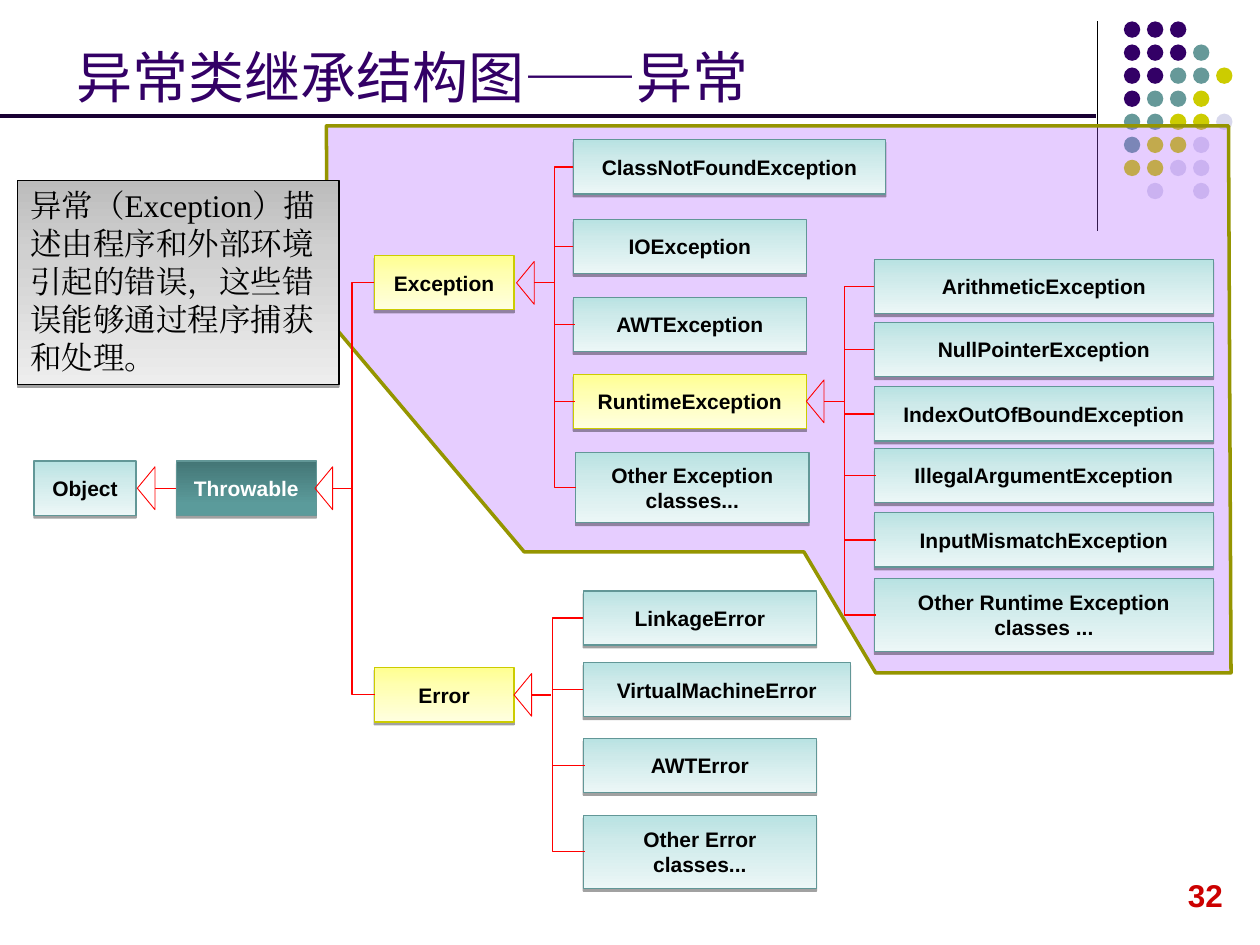
from dataclasses import dataclass
from typing import Any, NamedTuple

from pptx import Presentation
from pptx.dml.color import RGBColor
from pptx.enum.shapes import MSO_CONNECTOR as Link, MSO_SHAPE as Kind
from pptx.enum.text import MSO_ANCHOR as Anchor, MSO_AUTO_SIZE as Fit, PP_ALIGN as Align
from pptx.oxml import parse_xml
from pptx.oxml.ns import nsdecls, qn
from pptx.oxml.xmlchemy import OxmlElement
from pptx.util import Inches, Pt


class Style(NamedTuple):
    stops: tuple[tuple[int, str], ...]
    line: str
    ink: str = "000000"


@dataclass(frozen=True)
class Theme:
    sans: str = "Arial"
    han: str = "Noto Sans CJK SC"
    serif: str = "Times New Roman"
    title: int = 32
    body: int = 18
    label: int = 12
    black: str = "000000"
    plum: str = "330066"
    rule: str = "190033"
    red: str = "FF0000"
    page: str = "CC0000"
    zone: str = "AD5CFF"
    olive: str = "959500"
    mint: Style = Style(((0, "B8E2E2"), (35, "CEEAEA"), (100, "ECF7F7")), "629797")
    teal: Style = Style(((0, "447676"), (80, "5B9B9B"), (100, "5A9D9D")), "629797", "FFFFFF")
    gold: Style = Style(((0, "FFFF90"), (35, "FFFFB2"), (100, "FFFFE0")), "CCCC00")
    gray: Style = Style(((0, "BCBCBC"), (35, "D0D0D0"), (100, "EDEDED")), "000000")


T = Theme()
DOTS = {"P": T.plum, "T": "669999", "Y": "CCCC00", "L": "D8D8EC"}
GRID = ("PPP", "PPPT", "PPTTY", "PTTY", "TTYYL", "TYYL", "YYLL", " L L")


@dataclass(frozen=True)
class Box:
    text: str
    left: float
    top: float
    wide: float = 1.85
    high: float = 0.43
    style: Style = T.mint

    @property
    def mid(self) -> float:
        return self.top + self.high / 2


class Arm(NamedTuple):
    box: str
    tip: float
    end: float


class Fork(NamedTuple):
    spine: float
    first: str
    last: str


BOXES = (
    Box("Object", 0.27, 3.66, 0.81),
    Box("Throwable", 1.4, 3.66, 1.11, style=T.teal),
    Box("Exception", 2.97, 2.03, 1.11, style=T.gold),
    Box("Error", 2.97, 5.3, 1.11, style=T.gold),
    Box("ClassNotFoundException", 4.55, 1.11, 2.48),
    Box("IOException", 4.55, 1.74),
    Box("AWTException", 4.55, 2.36),
    Box("RuntimeException", 4.55, 2.97, style=T.gold),
    Box("Other Exception classes...", 4.57, 3.59, high=0.56),
    Box("LinkageError", 4.63, 4.69),
    Box("VirtualMachineError", 4.63, 5.26, 2.12),
    Box("AWTError", 4.63, 5.86),
    Box("Other Error classes...", 4.63, 6.47, high=0.58),
    Box("ArithmeticException", 6.94, 2.06, 2.69),
    Box("NullPointerException", 6.94, 2.56, 2.69),
    Box("IndexOutOfBoundException", 6.94, 3.07, 2.69),
    Box("IllegalArgumentException", 6.94, 3.56, 2.69),
    Box("InputMismatchException", 6.94, 4.07, 2.69),
    Box("Other Runtime Exception classes ...", 6.94, 4.59, 2.69, 0.58),
)
ARMS = (
    Arm("Object", 1.09, 1.4),
    Arm("Throwable", 2.5, 2.8),
    Arm("Exception", 4.1, 4.4),
    Arm("Error", 4.08, 4.37),
    Arm("RuntimeException", 6.4, 6.7),
)
FORKS = (
    Fork(2.79, "Exception", "Error"),
    Fork(4.4, "ClassNotFoundException", "Other Exception classes..."),
    Fork(4.4, "IOException", "AWTException"),
    Fork(4.4, "AWTException", "RuntimeException"),
    Fork(4.38, "LinkageError", "Other Error classes..."),
    Fork(4.38, "VirtualMachineError", "AWTError"),
    Fork(6.7, "ArithmeticException", "Other Runtime Exception classes ..."),
    Fork(6.7, "NullPointerException", "IllegalArgumentException"),
    Fork(6.7, "IndexOutOfBoundException", "InputMismatchException"),
)
ZONE = ((2.59, 1), (9.75, 1), (9.77, 5.34), (6.95, 5.34), (6.38, 4.38), (4.16, 4.38), (2.6, 2.53))


def rgb(code: str) -> RGBColor:
    return RGBColor.from_string(code)


def pen(item: Any, color: str, width: float) -> None:
    item.line.color.rgb = rgb(color)
    item.line.width = Pt(width)


def write(shape: Any, text: str, size: int, font: str, color: str, bold: bool = False) -> None:
    frame = shape.text_frame
    frame.text = text
    frame.word_wrap = True
    run = frame.paragraphs[0].runs[0]
    run.font.size, run.font.name, run.font.bold = Pt(size), font, bold
    run.font.color.rgb = rgb(color)
    east = OxmlElement("a:ea")
    east.set("typeface", font)
    run.font._element.find(qn("a:latin")).addnext(east)


def link(shapes: Any, kind: Any, x1: float, y1: float, x2: float, y2: float,
         color: str = T.red, width: float = 0.75) -> Any:
    line = shapes.add_connector(kind, Inches(x1), Inches(y1), Inches(x2), Inches(y2))
    pen(line, color, width)
    line._element.spPr.append(OxmlElement("a:effectLst"))
    return line


def panel(shapes: Any, box: Box) -> Any:
    """Add a rectangle with a gradient and a hard shadow below it."""
    shape = shapes.add_shape(Kind.RECTANGLE, Inches(box.left), Inches(box.top),
                             Inches(box.wide), Inches(box.high))
    shape.fill.background()
    stops = "".join(f'<a:gs pos="{pos * 1000}"><a:srgbClr val="{color}"/></a:gs>'
                    for pos, color in box.style.stops)
    props = shape._element.spPr
    props.replace(props.find(qn("a:noFill")), parse_xml(
        f'<a:gradFill {nsdecls("a")} rotWithShape="1"><a:gsLst>{stops}</a:gsLst>'
        '<a:lin ang="5400000" scaled="0"/></a:gradFill>'))
    pen(shape, box.style.line, 0.75)
    shape.shadow.inherit = False
    props.find(qn("a:effectLst")).append(parse_xml(
        f'<a:outerShdw {nsdecls("a")} blurRad="0" dist="20000" dir="5400000" rotWithShape="0">'
        '<a:srgbClr val="000000"><a:alpha val="37000"/></a:srgbClr></a:outerShdw>'))
    return shape


def node(shapes: Any, box: Box) -> Any:
    shape = panel(shapes, box)
    write(shape, box.text, T.label, T.sans, box.style.ink, True)
    shape.text_frame.vertical_anchor = Anchor.MIDDLE
    shape.text_frame.paragraphs[0].alignment = Align.CENTER
    return shape


def arm(shapes: Any, item: Arm, mid: float) -> Any:
    """Add a hollow arrowhead that points left, and its stem."""
    wide, high = 0.34, 0.14
    head = shapes.add_shape(Kind.ISOSCELES_TRIANGLE, Inches(item.tip + (high - wide) / 2),
                            Inches(mid - high / 2), Inches(wide), Inches(high))
    head.rotation = 270
    head.fill.background()
    pen(head, T.red, 0.5)
    head.shadow.inherit = False
    return link(shapes, Link.STRAIGHT, item.tip + high, mid, item.end, mid)


def fork(shapes: Any, spine: float, first: Box, last: Box) -> None:
    """Join the left sides of two boxes by a bracket that runs along the spine."""
    end = max(last.left, first.left + 0.01)
    line = link(shapes, Link.ELBOW, first.left, first.mid, end, last.mid)
    bend = round((spine - first.left) / (end - first.left) * 100000)
    guide = OxmlElement("a:gd")
    guide.set("name", "adj1")
    guide.set("fmla", f"val {bend}")
    line._element.spPr.find(qn("a:prstGeom")).get_or_add_avLst().append(guide)


def main() -> None:
    deck = Presentation()
    deck.slide_width, deck.slide_height = Inches(10), Inches(7.5)
    shapes = deck.slides.add_slide(deck.slide_layouts[6]).shapes

    # Corner ornament and page number
    link(shapes, Link.STRAIGHT, 8.71, 0.17, 8.71, 1.83, T.black)
    for row, marks in enumerate(GRID):
        for col, mark in enumerate(marks):
            if mark in DOTS:
                dot = shapes.add_shape(Kind.OVAL, Inches(8.92 + col * 0.183),
                                       Inches(0.17 + row * 0.183), Inches(0.13), Inches(0.13))
                dot.fill.solid()
                dot.fill.fore_color.rgb = rgb(DOTS[mark])
                dot.line.fill.background()
                dot.shadow.inherit = False
    page = shapes.add_textbox(Inches(9.33), Inches(6.9), Inches(0.48), Inches(0.4))
    write(page, "32", T.body, T.sans, T.page, True)
    page.text_frame.word_wrap = False

    # Tinted zone around the exceptions
    pts = [(Inches(x), Inches(y)) for x, y in ZONE]
    form = shapes.build_freeform(*pts[0])
    form.add_line_segments(pts[1:], close=True)
    zone = form.convert_to_shape()
    zone.fill.solid()
    zone.fill.fore_color.rgb = rgb(T.zone)
    alpha = OxmlElement("a:alpha")
    alpha.set("val", "30000")
    zone._element.spPr.find(qn("a:solidFill"))[0].append(alpha)
    pen(zone, T.olive, 2)
    zone.shadow.inherit = False

    # Title
    title = shapes.add_textbox(Inches(0.51), Inches(0.13), Inches(8.25), Inches(0.79))
    write(title, "异常类继承结构图——异常", T.title, T.han, T.plum)
    title.text_frame.vertical_anchor = Anchor.BOTTOM

    # Class tree
    boxes = {box.text: box for box in BOXES}
    nodes = {box.text: node(shapes, box) for box in BOXES}
    stems = {item.box: arm(shapes, item, boxes[item.box].mid) for item in ARMS}
    stems["Object"].end_connect(nodes["Throwable"], 1)
    for item in FORKS:
        fork(shapes, item.spine, boxes[item.first], boxes[item.last])

    # Explanation and title rule
    note = panel(shapes, Box("", 0.14, 1.43, 2.55, 1.62, T.gray))
    write(note, "异常（Exception）描述由程序和外部环境引起的错误，这些错误能够通过程序捕获和处理。",
          T.body, T.serif, T.black)
    note.text_frame.vertical_anchor = Anchor.TOP
    note.text_frame.paragraphs[0].alignment = Align.LEFT
    note.text_frame.auto_size = Fit.SHAPE_TO_FIT_TEXT
    link(shapes, Link.STRAIGHT, 0, 0.92, 8.7, 0.92, T.rule, 2.25)

    deck.save("out.pptx")


if __name__ == "__main__":
    main()
